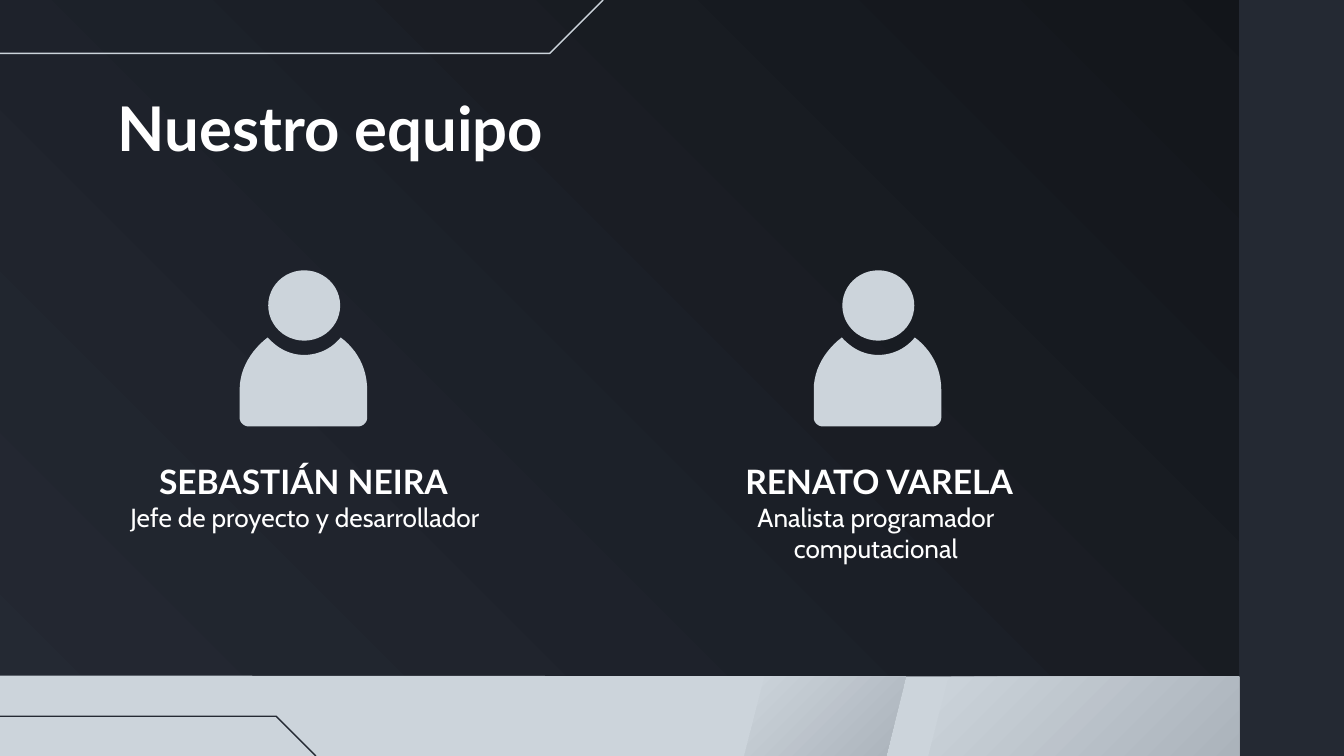
"""Build the team slide: a title and two members with icon, name and role."""
from pptx import Presentation
from pptx.dml.color import RGBColor
from pptx.enum.shapes import MSO_SHAPE
from pptx.enum.text import MSO_ANCHOR, MSO_AUTO_SIZE, PP_ALIGN
from pptx.util import Cm, Pt

NIGHT = RGBColor(0x12, 0x15, 0x1A)
SLATE = RGBColor(0x24, 0x29, 0x33)
MIST = RGBColor(0xCC, 0xD4, 0xDB)
STEEL = RGBColor(0xAB, 0xB3, 0xBB)
WHITE = RGBColor(0xFF, 0xFF, 0xFF)
WIDTH, HEIGHT = 25.4, 14.29
BAND_LEFT, STRIP_TOP = 23.42, 12.79


def write_text(box, text, *, font="Lato", size=18, bold=False,
               align=PP_ALIGN.CENTER, anchor=MSO_ANCHOR.TOP):
    frame = box.text_frame
    frame.word_wrap = True
    frame.auto_size = MSO_AUTO_SIZE.NONE
    frame.vertical_anchor = anchor
    frame.margin_left = frame.margin_right = Cm(0.25)
    frame.margin_top = frame.margin_bottom = Cm(0.25)
    para = frame.paragraphs[0]
    para.alignment = align
    span = para.add_run()
    span.text = text
    span.font.name = font
    span.font.size = Pt(size)
    span.font.bold = bold
    span.font.color.rgb = WHITE


def draw_outline(page, points, closed=True):
    corners = [(Cm(x), Cm(y)) for x, y in points]
    builder = page.shapes.build_freeform(*corners[0])
    builder.add_line_segments(corners[1:], close=closed)
    shape = builder.convert_to_shape()
    shape.shadow.inherit = False
    shape.line.fill.background()
    return shape


deck = Presentation()
deck.slide_width, deck.slide_height = Cm(WIDTH), Cm(HEIGHT)
page = deck.slides.add_slide(deck.slide_layouts[5])

backdrop = page.background.fill
backdrop.gradient()
backdrop.gradient_angle = 225
for stop, color in zip(backdrop.gradient_stops, (NIGHT, SLATE)):
    stop.color.rgb = color
    stop.position = 0 if color == NIGHT else 1

band = page.shapes.add_shape(MSO_SHAPE.RECTANGLE, Cm(BAND_LEFT), 0,
                             Cm(WIDTH - BAND_LEFT), Cm(HEIGHT))
band.shadow.inherit = False
band.fill.solid()
band.fill.fore_color.rgb = SLATE
band.line.fill.background()

strip = draw_outline(page, [(0, STRIP_TOP - 0.02), (0, HEIGHT),
                            (BAND_LEFT, HEIGHT), (BAND_LEFT, STRIP_TOP)])
strip.fill.solid()
strip.fill.fore_color.rgb = MIST

for top_left, top_right, bottom_left, bottom_right in (
        (14.45, 17.12, 14.07, 16.75),
        (17.93, BAND_LEFT, 17.55, BAND_LEFT)):
    panel = draw_outline(page, [(top_left, STRIP_TOP), (bottom_left, HEIGHT),
                                (bottom_right, HEIGHT), (top_right, STRIP_TOP)])
    panel.fill.gradient()
    panel.fill.gradient_angle = 315
    for stop, color in zip(panel.fill.gradient_stops, (MIST, STEEL)):
        stop.color.rgb = color
        stop.position = 0 if color == MIST else 1

for points, color in (
        ([(0, 1.01), (10.39, 1.01), (11.4, 0)], MIST),
        ([(0, 13.54), (5.22, 13.54), (5.97, HEIGHT)], SLATE)):
    trace = draw_outline(page, points, closed=False)
    trace.fill.background()
    trace.line.color.rgb = color
    trace.line.width = Pt(0.75)

title = page.shapes.title
title.left, title.top = Cm(1.98), Cm(1.45)
title.width, title.height = Cm(21.44), Cm(1.6)
write_text(title, "Nuestro equipo", size=33, bold=True, align=PP_ALIGN.LEFT)

BODY_CURVES = [
    ((0.53, 0), (0.23, 0.23), (0, 0.58), (0, 0.99)),
    ((0, 1.52), (0, 1.6), (0.08, 1.68), (0.16, 1.68)),
    ((2.25, 1.68), (2.33, 1.68), (2.41, 1.6), (2.41, 1.52)),
    ((2.41, 0.99), (2.41, 0.58), (2.22, 0.23), (1.91, 0)),
    ((1.91, 0), (1.75, 0.2), (1.5, 0.33), (1.22, 0.33)),
    ((1.22, 0.33), (0.94, 0.33), (0.71, 0.2), (0.53, 0)),
]
STEPS = 12
body = []
for curve in BODY_CURVES:
    for step in range(STEPS + 1):
        t = step / STEPS
        weights = ((1 - t) ** 3, 3 * t * (1 - t) ** 2, 3 * t ** 2 * (1 - t), t ** 3)
        body.append(tuple(sum(w * point[axis] for w, point in zip(weights, curve))
                          for axis in (0, 1)))

MEMBERS = [
    ("SEBASTIÁN NEIRA", "Jefe de proyecto y desarrollador", 4.53, 1.85, 1.88),
    ("RENATO VARELA", "Analista programador computacional", 15.38, 12.73, 12.67),
]
for name, role, icon_left, name_left, role_left in MEMBERS:
    head = page.shapes.add_shape(MSO_SHAPE.OVAL, Cm(icon_left + 0.54), Cm(5.11),
                                 Cm(1.36), Cm(1.33))
    head.shadow.inherit = False
    head.line.fill.background()
    torso = draw_outline(page, [(icon_left + x, 6.38 + y) for x, y in body])
    for part in (head, torso):
        part.fill.solid()
        part.fill.fore_color.rgb = MIST
    name_box = page.shapes.add_textbox(Cm(name_left), Cm(8.71), Cm(7.77), Cm(1.02))
    write_text(name_box, name, bold=True, anchor=MSO_ANCHOR.BOTTOM)
    role_box = page.shapes.add_textbox(Cm(role_left), Cm(9.22), Cm(7.77), Cm(1.52))
    write_text(role_box, role, font="Cabin", size=14)

deck.save("out.pptx")
